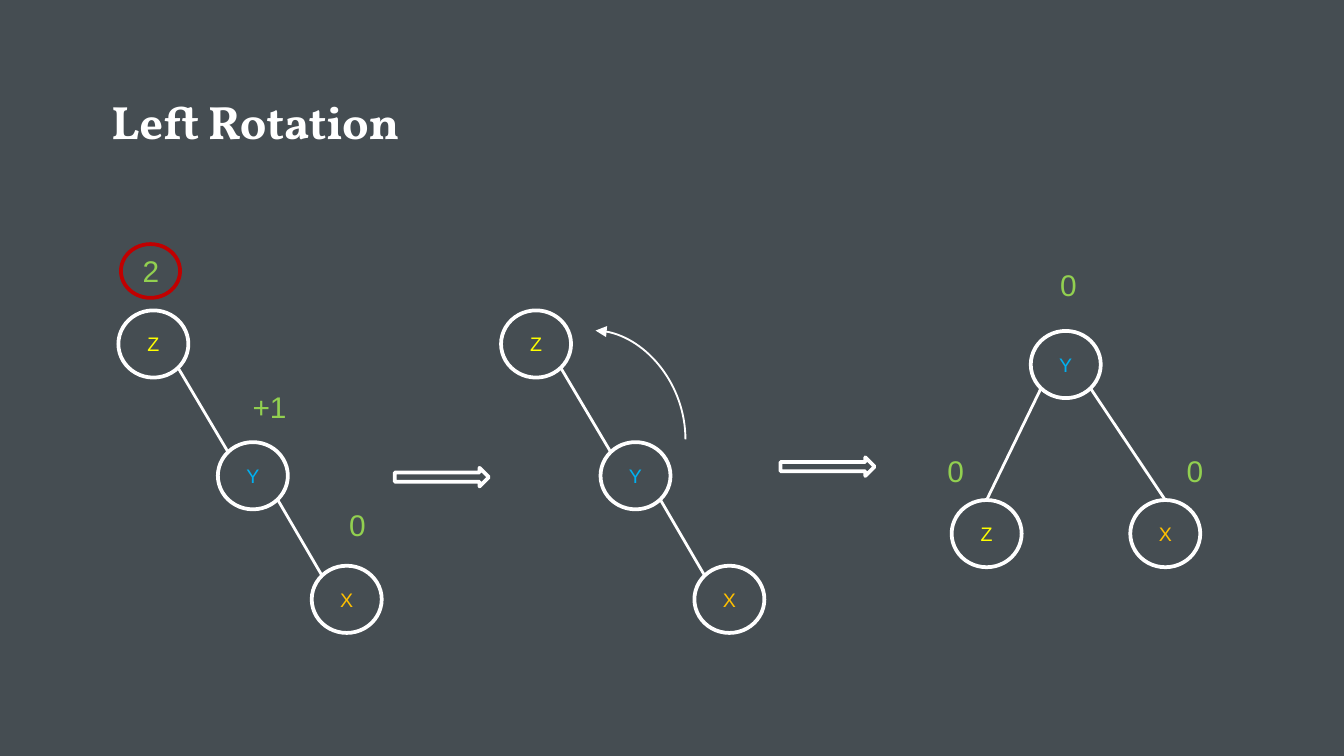
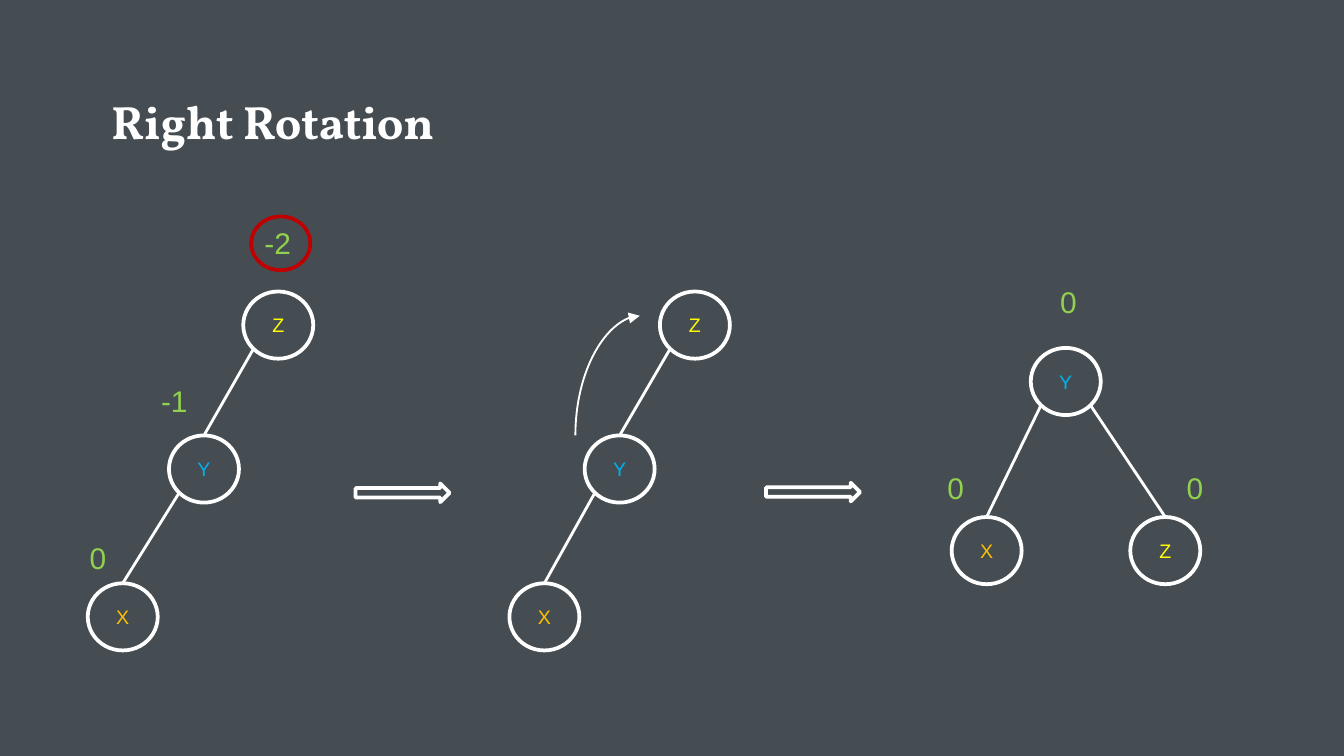
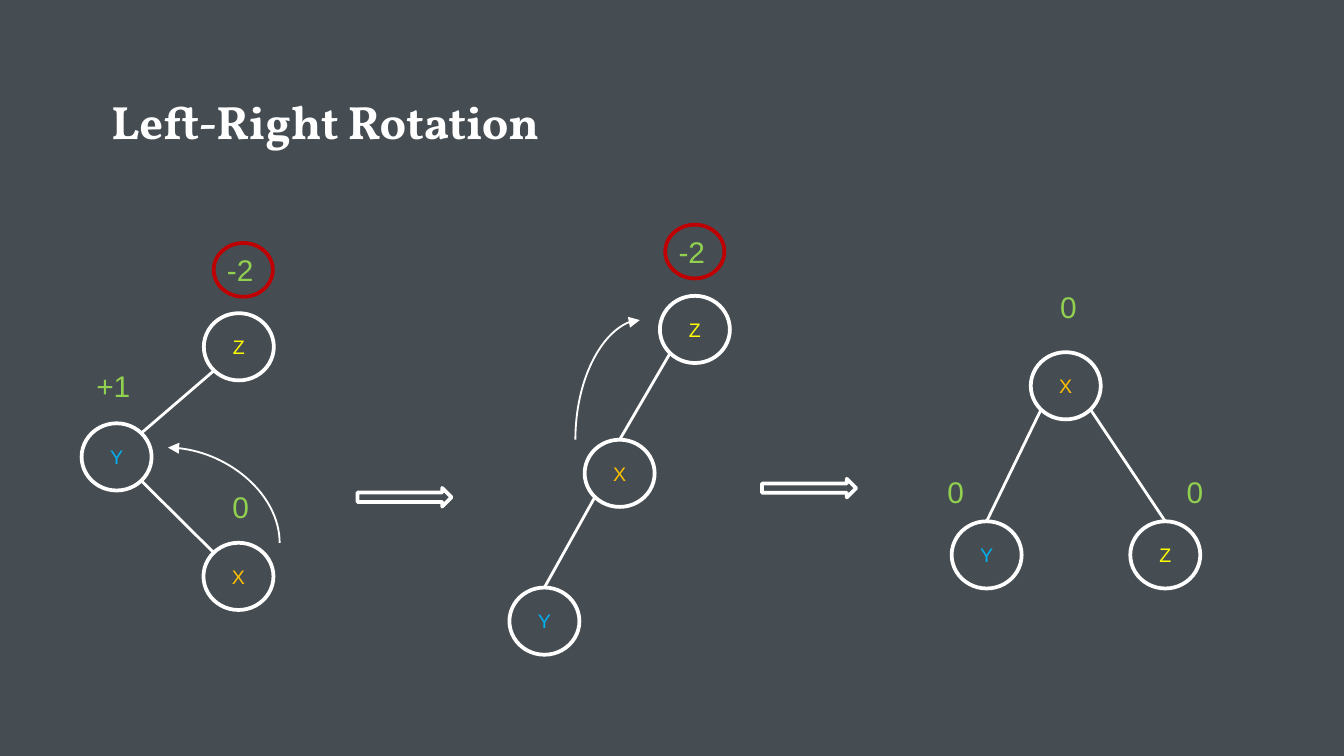
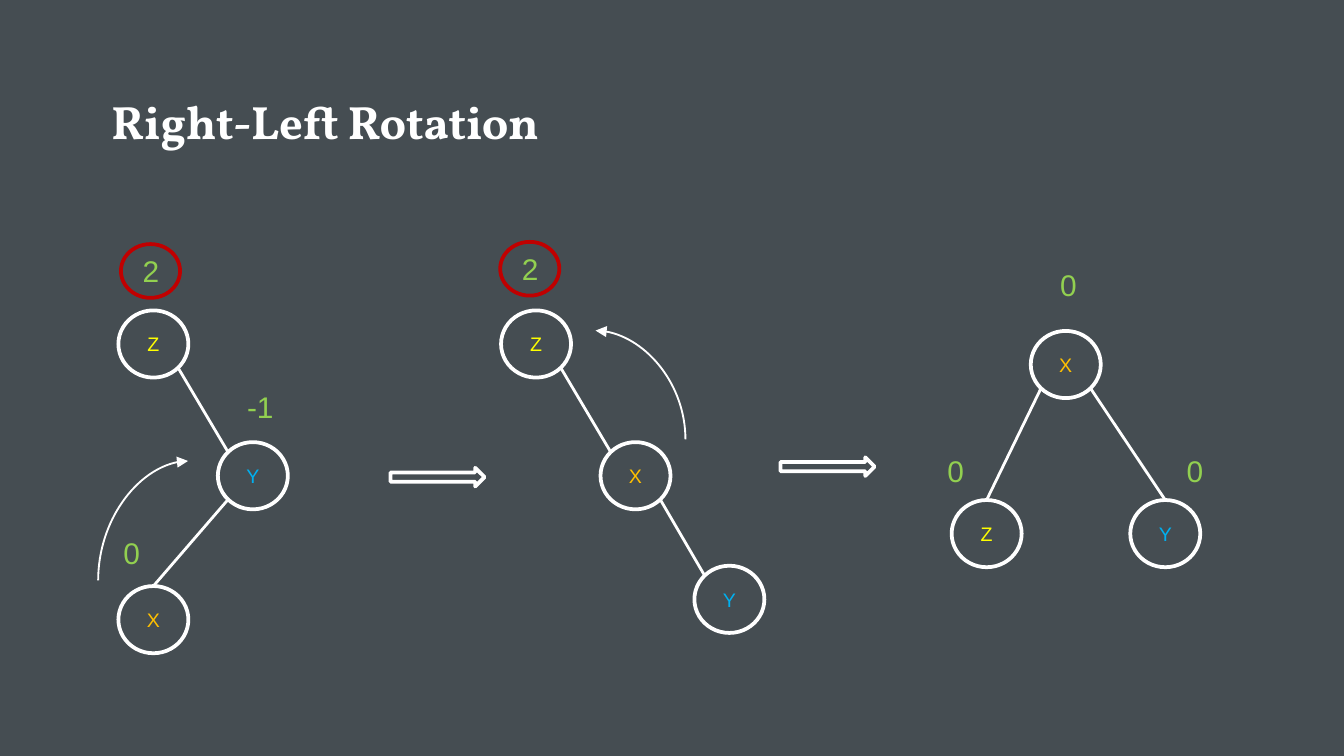
import math
from lxml import etree
from pptx import Presentation
from pptx.dml.color import RGBColor
from pptx.enum import shapes, text
from pptx.oxml import ns
from pptx.util import Pt

BACKDROP, WHITE, GREEN, RED = "454D52", "FFFFFF", "92D050", "C00000"
NODE_COLORS = {"X": "FFC000", "Y": "00B0F0", "Z": "FFFF00"}
NODE_SIZE = (37.5, 36)
RING_SIZE = (31.7, 28.8)
STEP_SIZE = (50.4, 10)
BALANCE_WIDTHS = {"0": 20, "+1": 38.5, "-1": 34, "2": 34.5, "-2": 34.5}

LEFT_CHAIN = [(63.4, 166.3), (116.7, 236.9), (167, 303.1)]
RIGHT_CHAIN = [(353.5, 156.2), (313.2, 233.3), (272.9, 312.5)]
CORNERS, TOPS = ("corner", "corner"), ("top", "top")


def rgb(value):
    return RGBColor.from_string(value)


def points(*values):
    return [Pt(value) for value in values]


def shift(spots, across=0, down=0):
    return [(left + across, top + down) for left, top in spots]


def set_format(target, values):
    for name, value in values.items():
        setattr(target, name, value)


def write(frame, words, color, size, align, font="Arial", bold=False):
    paragraph = frame.paragraphs[0]
    paragraph.alignment = align
    run = paragraph.add_run()
    run.text = words
    set_format(run.font, {"name": font, "size": Pt(size), "bold": bold})
    run.font.color.rgb = rgb(color)


def add_title(slide, words, width):
    title = slide.shapes.title
    left, top, wide, high = points(52.5, 42.5, width, 43.2)
    set_format(title, {"left": left, "top": top, "width": wide, "height": high})
    frame = title.text_frame
    set_format(frame, {
        "margin_left": Pt(7.2), "margin_right": Pt(7.2),
        "margin_top": Pt(7.2), "margin_bottom": Pt(7.2),
        "vertical_anchor": text.MSO_ANCHOR.TOP,
        "auto_size": text.MSO_AUTO_SIZE.NONE, "word_wrap": True,
    })
    write(frame, words, WHITE, 25, text.PP_ALIGN.LEFT, "Vollkorn", True)


def add_outline(slide, kind, spot, size, color=WHITE):
    outline = slide.shapes.add_shape(kind, *points(*spot, *size))
    outline.shadow.inherit = False
    outline.fill.background()
    outline.line.color.rgb = rgb(color)
    outline.line.width = Pt(2)
    return outline


def add_node(slide, key, spot):
    node = add_outline(slide, shapes.MSO_SHAPE.OVAL, spot, NODE_SIZE)
    node.text_frame.vertical_anchor = text.MSO_ANCHOR.MIDDLE
    write(node.text_frame, key, NODE_COLORS[key], 10.5, text.PP_ALIGN.CENTER)
    return node


def add_step(slide, left, top):
    add_outline(slide, shapes.MSO_SHAPE.RIGHT_ARROW, (left, top), STEP_SIZE)


def add_balance(slide, factor, left, top):
    balance = slide.shapes.add_textbox(
        *points(left, top, BALANCE_WIDTHS[factor], 26.6))
    set_format(balance.text_frame, {
        "word_wrap": True,
        "auto_size": text.MSO_AUTO_SIZE.SHAPE_TO_FIT_TEXT,
    })
    write(balance.text_frame, factor, GREEN, 16, text.PP_ALIGN.LEFT)


def add_alert(slide, factor, left, top):
    indent = 0 if factor.startswith("-") else 4.5
    add_balance(slide, factor, left + indent, top + 1)
    add_outline(slide, shapes.MSO_SHAPE.OVAL, (left, top), RING_SIZE, RED)


def add_line(slide, kind, ends, width, arrow=False):
    line = slide.shapes.add_connector(kind, *ends)
    line.line.color.rgb = rgb(WHITE)
    line.line.width = Pt(width)
    properties = line._element.spPr
    if arrow:
        stroke = properties.find(ns.qn("a:ln"))
        etree.SubElement(stroke, ns.qn("a:tailEnd"), type="triangle")
    etree.SubElement(properties, ns.qn("a:effectLst"))
    return line


def rim(node, across, down):
    reach = math.sqrt(0.5) / 2
    return (int(node.left + node.width * (0.5 + across * reach)),
            int(node.top + node.height * (0.5 + down * reach)))


def add_edge(slide, parent, child, join):
    side = 1 if child.left > parent.left else -1
    ends = rim(parent, side, 1) + rim(child, -side, -1)
    edge = add_line(slide, shapes.MSO_CONNECTOR.STRAIGHT, ends, 1.5)
    if join == "top":
        edge.end_connect(child, 0)


def add_turn(slide, start, tip):
    (x1, y1), (x2, y2) = start, tip
    middle_x, middle_y = (x1 + x2) / 2, (y1 + y2) / 2
    half_width, half_height = abs(x2 - x1) / 2, abs(y2 - y1) / 2
    side = 1 if x2 > x1 else -1
    ends = points(middle_x + side * half_height, middle_y + half_width,
                  middle_x - side * half_height, middle_y - half_width)
    turn = add_line(slide, shapes.MSO_CONNECTOR.CURVE, ends, 1, arrow=True)
    properties = turn._element.spPr
    properties.find(ns.qn("a:prstGeom")).set("prst", "curvedConnector2")
    quarter = 90 if side > 0 else 270
    properties.find(ns.qn("a:xfrm")).set("rot", str(quarter * 60000))


def add_chain(slide, keys, spots, joins):
    nodes = [add_node(slide, key, spot) for key, spot in zip(keys, spots)]
    for parent, child, join in zip(nodes, nodes[1:], joins):
        add_edge(slide, parent, child, join)


def add_balanced_tree(slide, keys, top):
    spots = [(509.8, top + 90.6), (552.2, top), (605.5, top + 90.6)]
    low, root, high = [add_node(slide, key, spot)
                       for key, spot in zip(keys, spots)]
    for child in (low, high):
        add_edge(slide, root, child, "top")
    for left, drop in ((500.4, 61.6), (560.9, -37.7), (628.6, 61.6)):
        add_balance(slide, "0", left, top + drop)


def add_left_turn_chain(slide, keys):
    add_chain(slide, keys, shift(LEFT_CHAIN, 205), CORNERS)
    add_turn(slide, (367.2, 235.4), (319, 177.1))


def add_right_turn_chain(slide, keys, down=0):
    add_chain(slide, keys, shift(RIGHT_CHAIN, 0, down), TOPS)
    add_turn(slide, *shift([(308.2, 233.3), (342.7, 169.2)], 0, down))


def add_rotation(deck, title, width, steps, balances, alerts):
    slide = deck.slides.add_slide(deck.slide_layouts[5])
    add_title(slide, title, width)
    for step in steps:
        add_step(slide, *step)
    for balance in balances:
        add_balance(slide, *balance)
    for alert in alerts:
        add_alert(slide, *alert)
    return slide


def main():
    deck = Presentation()
    set_format(deck, {"slide_width": Pt(720), "slide_height": Pt(405)})
    backdrop = deck.slide_master.background.fill
    backdrop.solid()
    backdrop.fore_color.rgb = rgb(BACKDROP)

    left = add_rotation(
        deck, "Left Rotation", 204,
        steps=[(211.5, 250.6), (418.2, 245)],
        balances=[("0", 180, 267.8), ("+1", 128.2, 204.5)],
        alerts=[("2", 64.8, 130.8)])
    add_chain(left, "ZYX", LEFT_CHAIN, CORNERS)
    add_left_turn_chain(left, "ZYX")
    add_balanced_tree(left, "ZYX", 177.3)

    right = add_rotation(
        deck, "Right Rotation", 204,
        steps=[(190.5, 259), (410.4, 258.6)],
        balances=[("0", 41, 285.8), ("-1", 79.2, 201.6)],
        alerts=[("-2", 134.6, 116)])
    add_chain(right, "ZYX", [(130.3, 156.2), (90.5, 233.3), (47, 312.5)], TOPS)
    add_right_turn_chain(right, "ZYX")
    add_balanced_tree(right, "XYZ", 186.4)

    left_right = add_rotation(
        deck, "Left-Right Rotation", 249,
        steps=[(191.5, 261.4), (408.3, 256.5)],
        balances=[("0", 117.4, 258.5), ("+1", 44.6, 193.7)],
        alerts=[("-2", 114.5, 130.2), ("-2", 356.4, 120.4)])
    add_chain(left_right, "ZYX",
              [(109.2, 167.8), (43.7, 226.8), (109, 290.8)], CORNERS)
    add_turn(left_right, (149.8, 290.9), (90, 239.8))
    add_right_turn_chain(left_right, "ZXY", 2.3)
    add_balanced_tree(left_right, "YXZ", 188.7)

    right_left = add_rotation(
        deck, "Right-Left Rotation", 249,
        steps=[(209.2, 250.6), (418.2, 245)],
        balances=[("0", 59, 283), ("-1", 125.3, 204.5)],
        alerts=[("2", 64.8, 130.8), ("2", 268, 129.6)])
    add_chain(right_left, "ZYX", LEFT_CHAIN[:2] + [(63.4, 314)],
              ("corner", "top"))
    add_turn(right_left, (52.6, 311), (100.8, 247))
    add_left_turn_chain(right_left, "ZXY")
    add_balanced_tree(right_left, "ZXY", 177.3)

    deck.save("out.pptx")


if __name__ == "__main__":
    main()
